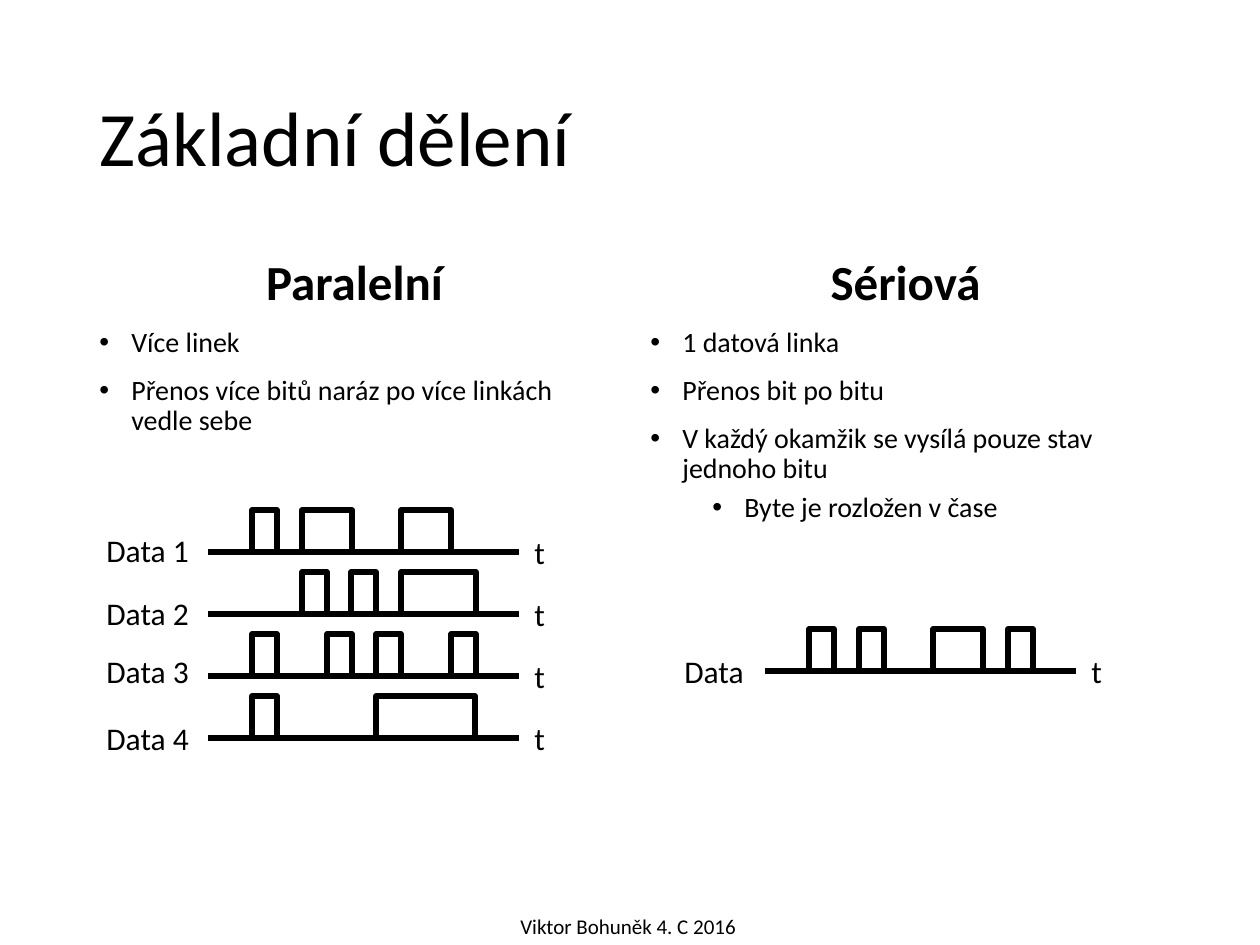
from dataclasses import dataclass
from itertools import groupby

from lxml.etree import SubElement
from pptx import Presentation
from pptx.dml.color import RGBColor
from pptx.enum.shapes import MSO_CONNECTOR as Connector, MSO_SHAPE as Shape
from pptx.enum.text import MSO_ANCHOR as Anchor, MSO_AUTO_SIZE as AutoSize, PP_ALIGN as Align
from pptx.oxml.ns import qn
from pptx.util import Emu, Pt

SCALE = 914400 // 126
COLORS = {"ink": "000000", "paper": "FFFFFF"}
FONT = "Calibri"
BIT_WIDTH = 24.87
PULSE_HEIGHT = 42
AXIS_LENGTH = 311
FIRST_BIT = 44
LABEL_HEIGHT = 50


@dataclass(frozen=True)
class Column:
    left: int
    heading: str
    bullets: tuple[tuple[str, int], ...]


@dataclass(frozen=True)
class Signal:
    label: str
    label_left: int
    label_top: int
    label_width: int
    axis_left: int
    baseline: int
    bits: str


COLUMNS = (
    Column(87, "Paralelní", (
        ("Více linek", 0),
        ("Přenos více bitů naráz po více linkách vedle sebe", 0),
    )),
    Column(638, "Sériová", (
        ("1 datová linka", 0),
        ("Přenos bit po bitu", 0),
        ("V každý okamžik se vysílá pouze stav jednoho bitu", 0),
        ("Byte je rozložen v čase", 1),
    )),
)
PARALLEL_ROWS = (
    (525, "101100110"),
    (588, "001010111"),
    (646, "100101001"),
    (713, "100001111"),
)
SIGNALS = tuple(
    Signal(f"Data {row + 1}", 94, label_top, 108, 208, 552 + 62 * row, bits)
    for row, (label_top, bits) in enumerate(PARALLEL_ROWS)
) + (Signal("Data", 672, 646, 86, 765, 671, "101001101"),)


def px(value: float) -> Emu:
    return Emu(round(value) * SCALE)


def color(name: str) -> RGBColor:
    return RGBColor.from_string(COLORS[name])


def style(paragraph, size: int, bold: bool = False) -> None:
    font = paragraph.font
    font.name, font.size, font.bold = FONT, Pt(size), bold
    font.color.rgb = color("ink")


def add_bullet(paragraph, level: int) -> None:
    paragraph.level = level
    properties = paragraph._p.get_or_add_pPr()
    properties.set("marL", str(px(31.5 + 63 * level)))
    properties.set("indent", str(-px(31.5)))
    SubElement(properties, qn("a:buFont")).set("typeface", "Arial")
    SubElement(properties, qn("a:buChar")).set("char", "•")


def add_label(slide, text: str, left: int, top: int, width: int, height: int, size: int) -> None:
    frame = slide.shapes.add_textbox(px(left), px(top), px(width), px(height)).text_frame
    frame.word_wrap = False
    frame.auto_size = AutoSize.SHAPE_TO_FIT_TEXT
    frame.text = text
    style(frame.paragraphs[0], size)


def add_column(slide, column: Column) -> None:
    frame = slide.shapes.add_textbox(px(column.left), px(252), px(535), px(600)).text_frame
    frame.word_wrap = True
    heading = frame.paragraphs[0]
    heading.text = column.heading
    heading.alignment = Align.CENTER
    style(heading, 28, True)
    heading.line_spacing, heading.space_before = 0.9, Pt(10)
    for text, level in column.bullets:
        paragraph = frame.add_paragraph()
        paragraph.text = text
        paragraph.line_spacing = 0.9
        paragraph.space_before = Pt(5 if level else 10)
        style(paragraph, 16)
        add_bullet(paragraph, level)


def add_pulse(slide, left: float, baseline: int, width: float) -> None:
    pulse = slide.shapes.add_shape(
        Shape.RECTANGLE, px(left), px(baseline - PULSE_HEIGHT), px(width), px(PULSE_HEIGHT))
    pulse.shadow.inherit = False
    pulse.fill.solid()
    pulse.fill.fore_color.rgb = color("paper")
    pulse.line.color.rgb = color("ink")
    pulse.line.width = Pt(3)


def add_signal(slide, signal: Signal) -> None:
    slot = 0
    for bit, run in groupby(signal.bits):
        length = len(list(run))
        if bit == "1":
            left = signal.axis_left + FIRST_BIT + slot * BIT_WIDTH
            add_pulse(slide, left, signal.baseline, length * BIT_WIDTH)
        slot += length
    axis = slide.shapes.add_connector(
        Connector.STRAIGHT, px(signal.axis_left), px(signal.baseline),
        px(signal.axis_left + AXIS_LENGTH), px(signal.baseline))
    axis.line.color.rgb = color("ink")
    axis.line.width = Pt(3)
    SubElement(axis._element.spPr, qn("a:effectLst"))
    add_label(slide, signal.label, signal.label_left, signal.label_top,
              signal.label_width, LABEL_HEIGHT, 18)
    add_label(slide, "t", signal.axis_left + 314, signal.baseline - 25, 36, LABEL_HEIGHT, 18)


def add_title(slide, text: str) -> None:
    title = slide.shapes.title
    title.left, title.top, title.width, title.height = px(87), px(50), px(1086), px(183)
    frame = title.text_frame
    frame.text = text
    frame.vertical_anchor = Anchor.MIDDLE
    paragraph = frame.paragraphs[0]
    paragraph.alignment = Align.LEFT
    paragraph.line_spacing = 0.9
    style(paragraph, 44)


def main() -> None:
    presentation = Presentation()
    presentation.slide_width, presentation.slide_height = px(1260), px(945)
    slide = presentation.slides.add_slide(presentation.slide_layouts[5])
    slide.background.fill.solid()
    slide.background.fill.fore_color.rgb = color("paper")
    add_title(slide, "Základní dělení")
    for column in COLUMNS:
        add_column(slide, column)
    for signal in SIGNALS:
        add_signal(slide, signal)
    add_label(slide, "Viktor Bohuněk 4. C 2016", 508, 907, 243, 38, 12)
    presentation.save("out.pptx")


main()
